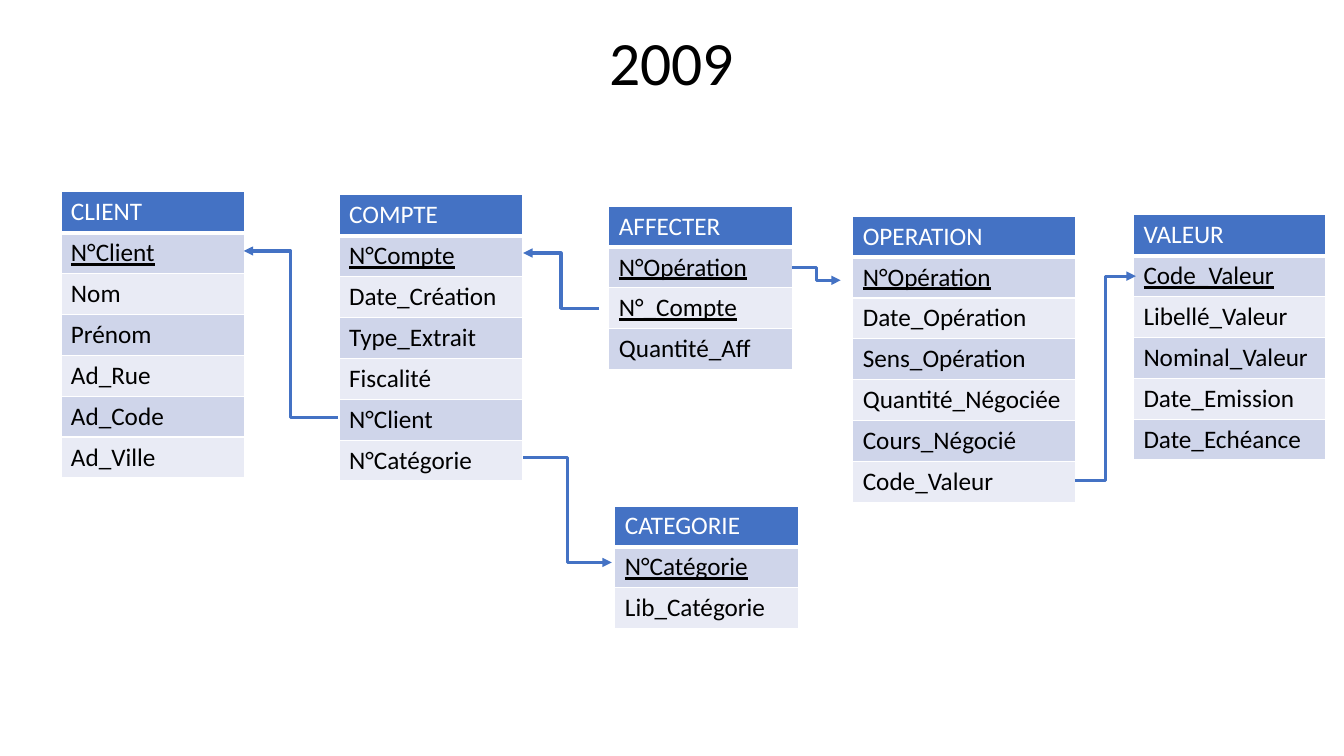
"""Build the 2009 relational schema slide: entity tables joined by key links."""
from dataclasses import dataclass

from lxml import etree
from pptx import Presentation
from pptx import util as u
from pptx.dml.color import RGBColor
from pptx.enum import shapes, text
from pptx.oxml import ns

BLUE = RGBColor(0x44, 0x72, 0xC4)
DARK_BAND = RGBColor(0xCF, 0xD5, 0xEA)
LIGHT_BAND = RGBColor(0xE9, 0xEB, 0xF5)
WHITE = RGBColor(0xFF, 0xFF, 0xFF)
BLACK = RGBColor(0x00, 0x00, 0x00)
FONT = "Calibri"
ROW_HEIGHT = 29.2


@dataclass(frozen=True)
class Entity:
    name: str
    left: float
    top: float
    fields: tuple[str, ...]
    width: float = 131.2
    key_count: int = 1


@dataclass(frozen=True)
class Link:
    start: tuple[float, float]
    end: tuple[float, float]


ENTITIES = (
    Entity("CLIENT", 43.5, 137, ("N°Client", "Nom", "Prénom", "Ad_Rue", "Ad_Code", "Ad_Ville")),
    Entity("CATEGORIE", 439.2, 361.4, ("N°Catégorie", "Lib_Catégorie")),
    Entity("COMPTE", 242.2, 139.2,
           ("N°Compte", "Date_Création", "Type_Extrait", "Fiscalité", "N°Client", "N°Catégorie")),
    Entity("OPERATION", 609.1, 154.4,
           ("N°Opération", "Date_Opération", "Sens_Opération", "Quantité_Négociée",
            "Cours_Négocié", "Code_Valeur"), width=159),
    Entity("VALEUR", 809.6, 153.4,
           ("Code_Valeur", "Libellé_Valeur", "Nominal_Valeur", "Date_Emission", "Date_Echéance"),
           width=137.5),
    Entity("AFFECTER", 434.9, 147.2, ("N°Opération", "N°_Compte", "Quantité_Aff"), key_count=2),
)
LINKS = (
    Link((241.2, 298.1), (174.2, 179.3)),
    Link((373.7, 326.9), (437, 401.8)),
    Link((565.9, 190.8), (600.5, 200.2)),
    Link((768.2, 343.4), (811.4, 197.3)),
    Link((427.7, 220.3), (373.7, 180.7)),
)


def write_text(frame, content: str, *, size: float = 18, color: RGBColor = BLACK,
               underline: bool = False, align=text.PP_ALIGN.LEFT,
               line_spacing: float = 1.0) -> None:
    """Write one formatted line into a text frame."""
    paragraph = frame.paragraphs[0]
    paragraph.alignment = align
    paragraph.line_spacing = line_spacing
    run = paragraph.add_run()
    run.text = content
    run.font.name = FONT
    run.font.size = u.Pt(size)
    run.font.bold = False
    run.font.underline = underline
    run.font.color.rgb = color


def set_borders(cell, bottom_width: float) -> None:
    """Give a cell white borders, with its own bottom width."""
    properties = cell._tc.get_or_add_tcPr()
    for side, width in (("L", 1), ("R", 1), ("T", 1), ("B", bottom_width)):
        line = etree.SubElement(properties, ns.qn(f"a:ln{side}"), w=str(u.Pt(width)))
        fill = etree.SubElement(line, ns.qn("a:solidFill"))
        etree.SubElement(fill, ns.qn("a:srgbClr"), val=str(WHITE))


def draw_entity(slide, entity: Entity) -> None:
    """Draw an entity as a one-column table with underlined keys."""
    labels = (entity.name, *entity.fields)
    table = slide.shapes.add_table(
        len(labels), 1, u.Pt(entity.left), u.Pt(entity.top),
        u.Pt(entity.width), u.Pt(ROW_HEIGHT * len(labels))).table
    for index, label in enumerate(labels):
        table.rows[index].height = u.Pt(ROW_HEIGHT)
        cell = table.cell(index, 0)
        is_header = index == 0
        set_borders(cell, 3 if is_header else 1)
        cell.fill.solid()
        band = DARK_BAND if index % 2 else LIGHT_BAND
        cell.fill.fore_color.rgb = BLUE if is_header else band
        write_text(cell.text_frame, label, color=WHITE if is_header else BLACK,
                   underline=1 <= index <= entity.key_count)


def draw_link(slide, link: Link) -> None:
    """Draw an elbow arrow from a foreign key to its primary key."""
    connector = slide.shapes.add_connector(
        shapes.MSO_CONNECTOR.ELBOW, *(u.Pt(value) for value in (*link.start, *link.end)))
    connector.line.color.rgb = BLUE
    connector.line.width = u.Pt(2.25)
    etree.SubElement(connector.line._get_or_add_ln(), ns.qn("a:tailEnd"), type="triangle")
    etree.SubElement(connector._element.spPr, ns.qn("a:effectLst"))


def draw_title(slide, title: str) -> None:
    """Draw the centred slide title."""
    box = slide.shapes.add_textbox(u.Pt(120), u.Pt(19.4), u.Pt(720), u.Pt(50.4))
    box.text_frame.word_wrap = True
    write_text(box.text_frame, title, size=44, align=text.PP_ALIGN.CENTER, line_spacing=0.9)


def main() -> None:
    """Build and save the presentation."""
    presentation = Presentation()
    presentation.slide_width = u.Pt(960)
    presentation.slide_height = u.Pt(540)
    slide = presentation.slides.add_slide(presentation.slide_layouts[6])
    for entity in ENTITIES:
        draw_entity(slide, entity)
    for link in LINKS:
        draw_link(slide, link)
    draw_title(slide, "2009")
    presentation.save("out.pptx")


main()
